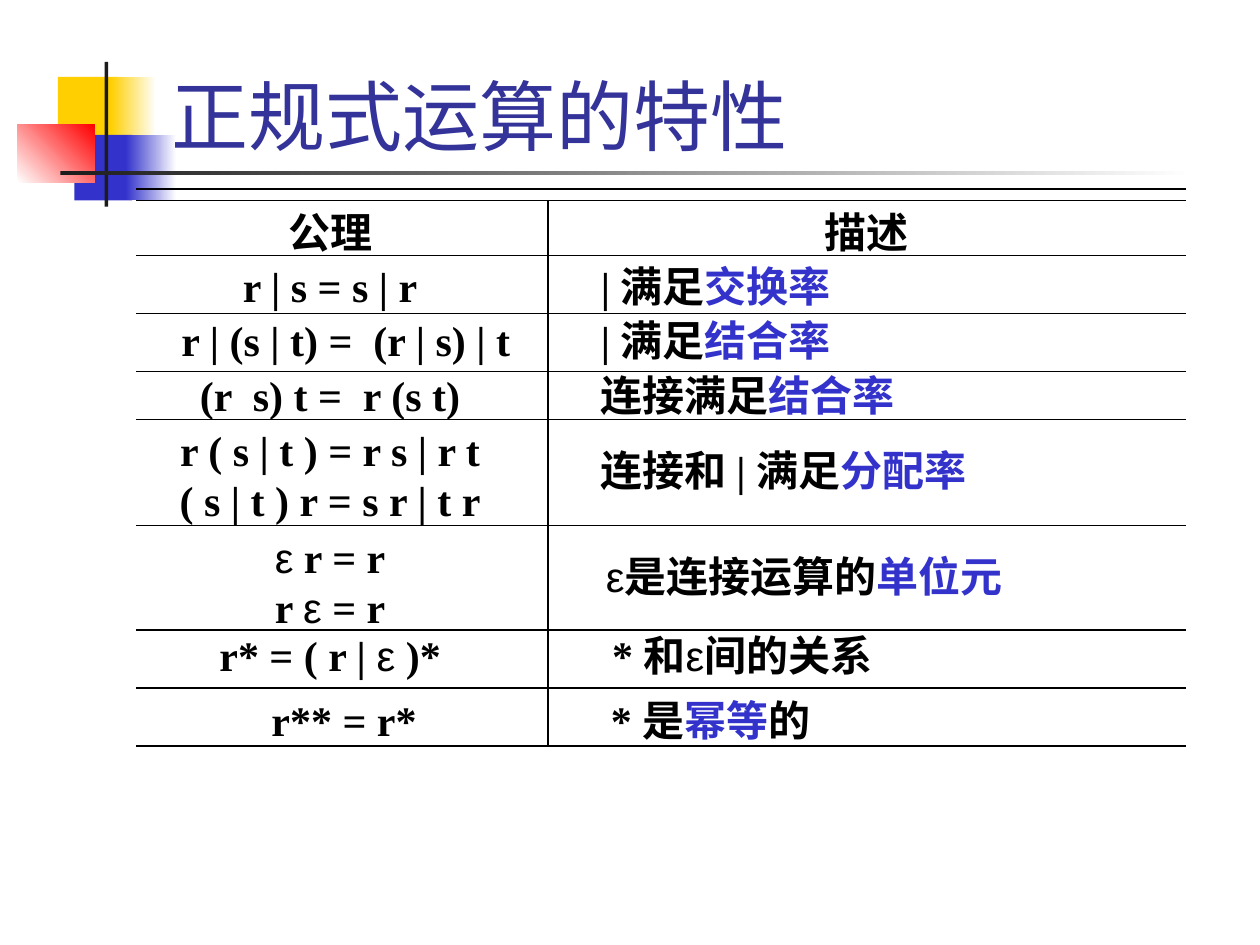
from itertools import groupby

from lxml import etree
from pptx import Presentation
from pptx.dml.color import RGBColor
from pptx.enum import shapes, text
from pptx.oxml import ns
from pptx.util import Inches, Pt

COLORS = {
    "yellow": "FFCF01",
    "blue": "3333CC",
    "red": "FF0000",
    "dark": "1C1C1C",
    "white": "FFFFFF",
    "title": "333399",
    "black": "000000",
}
SERIF, SANS = "Times New Roman", "Arial"
TABLE_LEFT, TABLE_RIGHT, DIVIDER_X = 1.08, 9.41, 4.35
RULES = [1.5, 1.59, 2.03, 2.49, 2.95, 3.33, 4.17, 5, 5.46, 5.92]

# Left, top, width, fill colours (start, end) and angle of the corner squares and bars
DECORATIONS = [
    (0.46, 0.61, 0.48, 0.52, ["yellow"], 0),
    (0.88, 0.61, 0.36, 0.52, ["yellow", "white"], 0),
    (0.59, 1.07, 0.46, 0.52, ["blue"], 0),
    (1, 1.07, 0.4, 0.52, ["blue", "white"], 0),
    (0.14, 0.99, 0.61, 0.46, ["white", "red"], 45),
    (0.83, 0.49, 0.03, 1.15, ["dark"], 0),
    (0.48, 1.36, 9, 0.03, ["dark", "white"], 0),
]

# Left, top, width, lines
AXIOMS = [
    (1.08, 1.59, 3.08, ["公理"]),
    (1.08, 2.02, 3.08, ["r | s = s | r"]),
    (1.08, 2.45, 3.33, ["r | (s | t) =  (r | s) | t"]),
    (1.08, 2.88, 3.08, ["(r  s) t =  r (s t)"]),
    (1.08, 3.32, 3.08, ["r ( s | t ) = r s | r t", "( s | t ) r = s r | t r"]),
    (1.08, 4.17, 3.08, ["ε r = r", "r ε = r"]),
    (1.08, 4.95, 3.08, ["r* = ( r | ε )*"]),
    (1.19, 5.46, 3.08, ["r** = r*"]),
]

# Left, top, width, lines; square brackets mark highlighted words
DESCRIPTIONS = [
    (4.67, 2.02, 4.74, ["| 满足[交换率]"]),
    (4.67, 2.45, 4.74, ["| 满足[结合率]"]),
    (4.67, 2.88, 4.74, ["连接满足[结合率]"]),
    (4.67, 3.48, 4.83, ["连接和 | 满足[分配率]"]),
    (4.71, 4.32, 4.79, ["ε是连接运算的[单位元]"]),
    (4.76, 4.95, 4.74, ["* 和ε间的关系"]),
    (4.75, 5.46, 4.74, ["* 是[幂等]的"]),
]


def rgb(name):
    return RGBColor.from_string(COLORS[name])


def add_block(slide, left, top, width, height, fill_colors, angle):
    block = slide.shapes.add_shape(
        shapes.MSO_SHAPE.RECTANGLE,
        Inches(left), Inches(top), Inches(width), Inches(height))
    block.shadow.inherit = False
    block.line.fill.background()
    if len(fill_colors) == 1:
        block.fill.solid()
        block.fill.fore_color.rgb = rgb(fill_colors[0])
        return
    block.fill.gradient()
    block.fill.gradient_angle = angle
    for stop, name, position in zip(block.fill.gradient_stops, fill_colors, (0, 1)):
        stop.color.rgb = rgb(name)
        stop.position = position


def add_rule(slide, x1, y1, x2, y2):
    rule = slide.shapes.add_connector(
        shapes.MSO_CONNECTOR.STRAIGHT,
        Inches(x1), Inches(y1), Inches(x2), Inches(y2))
    rule.line.color.rgb = rgb("black")
    rule.line.width = Pt(0.75)
    etree.SubElement(rule.element.spPr, ns.qn("a:effectLst"))


def fill_paragraph(paragraph, line):
    """Colour the bracketed words and set each epsilon in the sans font."""
    paragraph.font.size = Pt(24)
    for index, part in enumerate(line.replace("]", "[").split("[")):
        for is_epsilon, letters in groupby(part, lambda letter: letter == "ε"):
            run = paragraph.add_run()
            run.text = "".join(letters)
            run.font.name = SANS if is_epsilon else SERIF
            run.font.bold = not is_epsilon
            run.font.color.rgb = rgb("blue" if index % 2 else "black")


def add_cell(slide, left, top, width, lines, alignment):
    box = slide.shapes.add_textbox(
        Inches(left), Inches(top), Inches(width), Inches(0.1 + 0.4 * len(lines)))
    frame = box.text_frame
    frame.word_wrap = True
    for index, line in enumerate(lines):
        paragraph = frame.add_paragraph() if index else frame.paragraphs[0]
        paragraph.alignment = alignment
        fill_paragraph(paragraph, line)


def set_title(slide, wording):
    title = slide.shapes.title
    title.left, title.top = Inches(1.26), Inches(0.08)
    title.width, title.height = Inches(8.52), Inches(1.25)
    frame = title.text_frame
    frame.text = wording
    frame.auto_size = text.MSO_AUTO_SIZE.NONE
    frame.vertical_anchor = text.MSO_ANCHOR.BOTTOM
    paragraph = frame.paragraphs[0]
    paragraph.alignment = text.PP_ALIGN.LEFT
    paragraph.font.size = Pt(44)
    paragraph.font.name = SERIF
    paragraph.font.color.rgb = rgb("title")
    # Bring the title in front of the decoration
    slide.shapes.element.append(title.element)


def main():
    presentation = Presentation()
    presentation.slide_width, presentation.slide_height = Inches(10), Inches(7.5)
    slide = presentation.slides.add_slide(presentation.slide_layouts[5])

    # Corner decoration and title
    for decoration in DECORATIONS:
        add_block(slide, *decoration)
    set_title(slide, "正规式运算的特性")

    # Ruled grid: rows of uneven height, too tight for table cells
    for y in RULES:
        add_rule(slide, TABLE_LEFT, y, TABLE_RIGHT, y)
    add_rule(slide, DIVIDER_X, RULES[-1], DIVIDER_X, RULES[1])

    # Axioms on the left, descriptions on the right
    for cell in AXIOMS:
        add_cell(slide, *cell, text.PP_ALIGN.CENTER)
    add_cell(slide, DIVIDER_X, RULES[1], TABLE_RIGHT - DIVIDER_X, ["描述"],
             text.PP_ALIGN.CENTER)
    for cell in DESCRIPTIONS:
        add_cell(slide, *cell, text.PP_ALIGN.LEFT)

    presentation.save("out.pptx")


if __name__ == "__main__":
    main()
